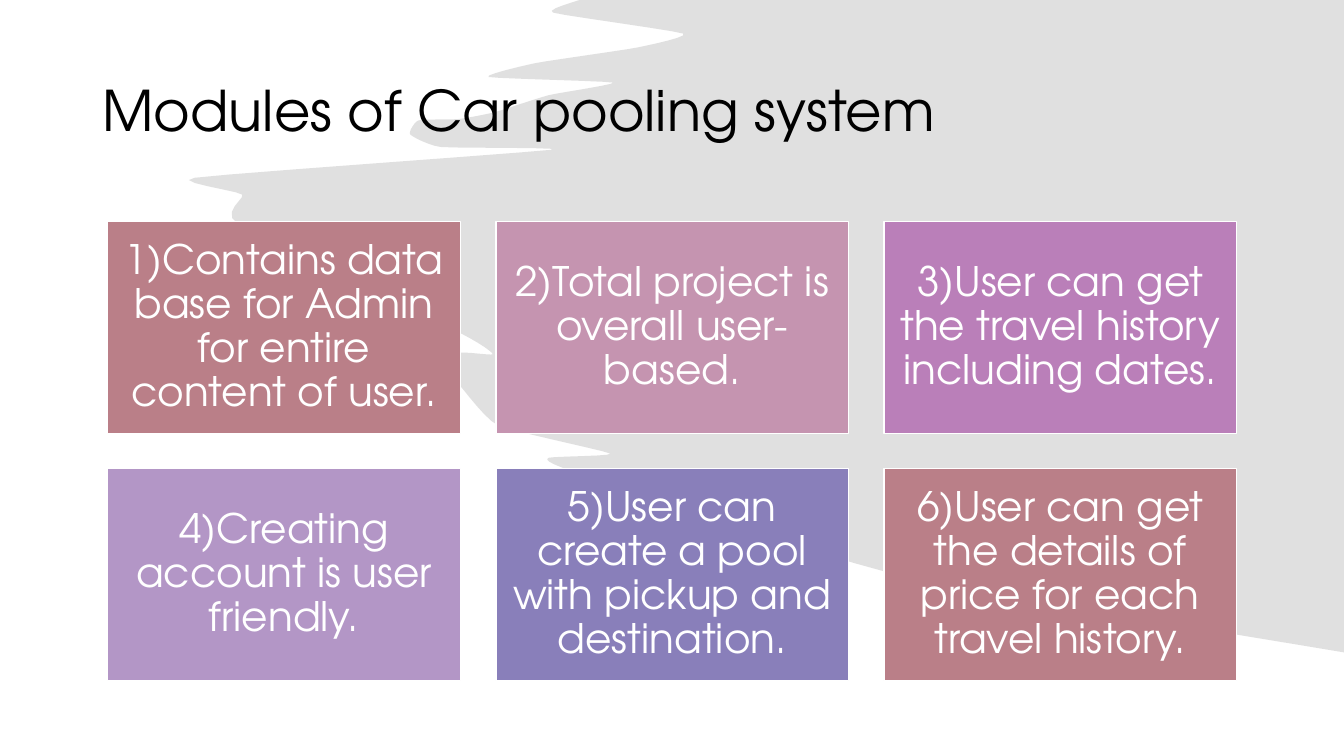
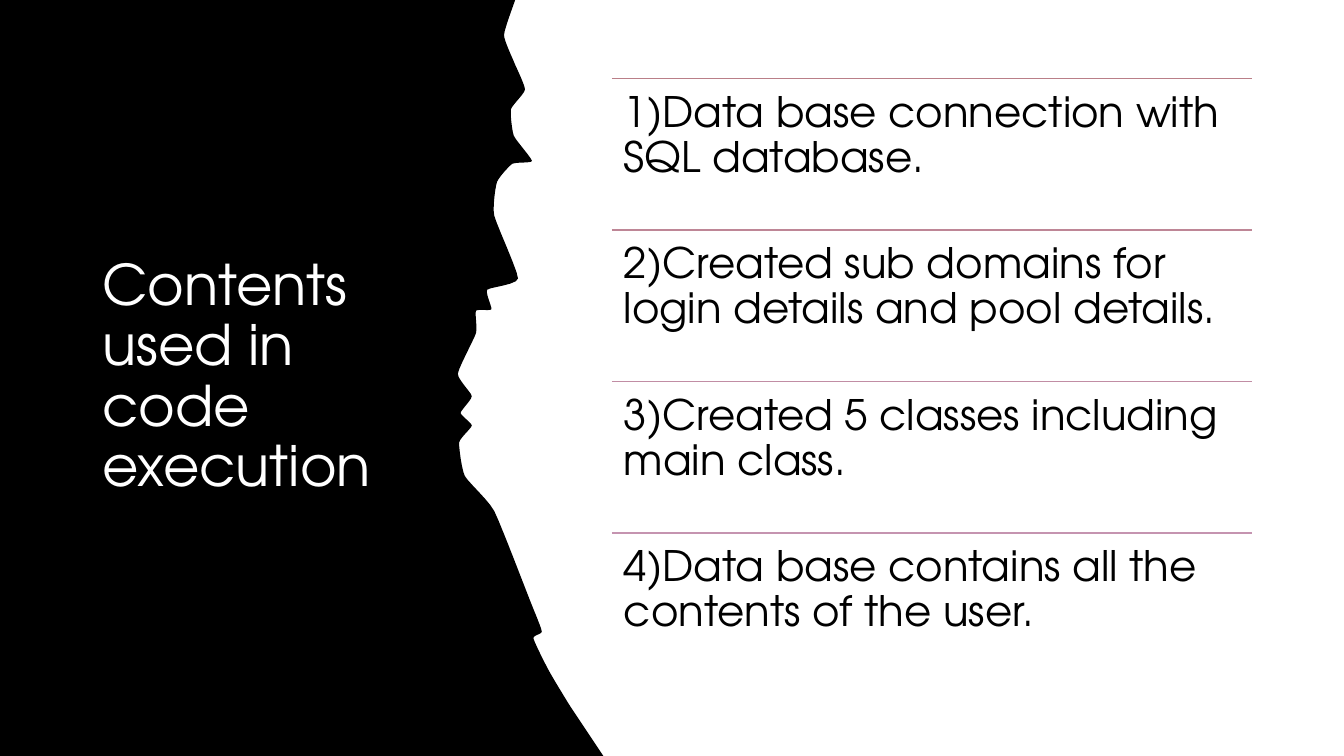
from typing import NamedTuple

from lxml import etree
from pptx import Presentation
from pptx.dml.color import RGBColor
from pptx.enum.shapes import MSO_CONNECTOR, MSO_SHAPE
from pptx.enum.text import MSO_ANCHOR, MSO_AUTO_SIZE, PP_ALIGN
from pptx.oxml.ns import qn
from pptx.util import Pt

RECTANGLE = MSO_SHAPE.RECTANGLE
STRAIGHT = MSO_CONNECTOR.STRAIGHT
TOP, MIDDLE = MSO_ANCHOR.TOP, MSO_ANCHOR.MIDDLE
LEFT, CENTER = PP_ALIGN.LEFT, PP_ALIGN.CENTER
NO_AUTOFIT = MSO_AUTO_SIZE.NONE

# Shared style
FONT = "TeX Gyre Adventor"
BLACK, WHITE, GREY = "000000", "FFFFFF", "D9D9D9"
TITLE_SIZE, CARD_SIZE, ITEM_SIZE = 40, 29, 30
LINE_SPACING = 0.9
INSET = 8.64
WIDTH, HEIGHT = 960, 540
MARGIN = 66
CURVE_STEPS = 6
TENSION = 0.25
TITLE_ONLY = 5


class Box(NamedTuple):
    left: float
    top: float
    width: float
    height: float


class Entry(NamedTuple):
    text: str
    color: str


class Backdrop(NamedTuple):
    edge: list  # ragged edge from the top of the slide downwards
    corners: list  # straight outline that closes the area
    color: str
    opacity: int


MODULES = [
    Entry("1)Contains data base for Admin for entire content of user.", "BA7F88"),
    Entry("2)Total project is overall user-based.", "C594B0"),
    Entry("3)User can get the travel history including dates.", "BA7FB9"),
    Entry("4)Creating account is user friendly.", "B396C6"),
    Entry("5)User can create a pool with pickup and destination.", "897FBA"),
    Entry("6)User can get the details of price for each travel history.", "BA7F88"),
]
CARD = Box(77, 158.4, 252, 151.2)
CARD_COLUMNS, CARD_GAP = 3, 25.2

CONTENTS = [
    Entry("1)Data base connection with SQL database.", "BA7F88"),
    Entry("2)Created sub domains for login details and pool details.", "BE8696"),
    Entry("3)Created 5 classes including main class.", "C18DA4"),
    Entry("4)Data base contains all the contents of the user.", "C594B0"),
]
ITEM = Box(437, 56.2, 457.2, 108.2)

BRUSH = Backdrop(
    [(414, 0), (395, 9), (488, 24), (455, 34), (383, 45), (349, 55), (438, 59),
     (392, 68), (354, 80), (328, 85), (299, 86), (293, 96), (315, 105),
     (394, 107), (139, 127), (173, 139), (170, 160), (329, 238), (352, 253),
     (329, 252), (317, 264), (329, 276), (356, 304), (436, 324), (392, 327),
     (410, 337), (642, 411), (WIDTH, 466)],
    [(WIDTH, 0)], GREY, 80)

TORN_PANEL = Backdrop(
    [(368, 0), (360, 25), (367, 44), (375, 64), (365, 78), (367, 97),
     (380, 115), (366, 117), (355, 130), (353, 154), (370, 199), (348, 207),
     (351, 221), (340, 222), (340, 238), (327, 267), (337, 283), (329, 295),
     (337, 304), (328, 316), (332, 340), (353, 365), (379, 430), (387, 451),
     (381, 456), (392, 479), (407, 504), (431, HEIGHT)],
    [(0, HEIGHT), (0, 0)], BLACK, 100)


def rgb(color: str) -> RGBColor:
    return RGBColor.from_string(color)


def set_text(shape, text: str, size: float, color: str, align, anchor) -> None:
    tf = shape.text_frame
    tf.word_wrap = True
    tf.auto_size = NO_AUTOFIT
    tf.vertical_anchor = anchor
    p = tf.paragraphs[0]
    p.text = text
    p.alignment = align
    p.line_spacing = LINE_SPACING
    p.font.name = FONT
    p.font.size = Pt(size)
    p.font.color.rgb = rgb(color)


def set_insets(shape) -> None:
    tf = shape.text_frame
    tf.margin_left = tf.margin_top = tf.margin_right = tf.margin_bottom = Pt(INSET)


def blend(a: float, b: float, c: float, d: float, t: float) -> float:
    """Cardinal spline between b and c, with neighbours a and d."""
    u = 1 - t
    start, end = b + (c - a) * TENSION / 3, c - (d - b) * TENSION / 3
    return b * u ** 3 + 3 * start * u * u * t + 3 * end * u * t * t + c * t ** 3


def smooth(edge: list) -> list:
    padded = [edge[0], *edge, edge[-1]]
    points = [edge[0]]
    for around in zip(padded, padded[1:], padded[2:], padded[3:]):
        xs, ys = zip(*around)
        for step in range(1, CURVE_STEPS + 1):
            t = step / CURVE_STEPS
            points.append((blend(*xs, t), blend(*ys, t)))
    return points


def add_backdrop(s, backdrop: Backdrop) -> None:
    outline = smooth(backdrop.edge) + backdrop.corners
    points = [(Pt(x), Pt(y)) for x, y in outline]
    builder = s.shapes.build_freeform(*points[0])
    builder.add_line_segments(points[1:], close=True)
    shape = builder.convert_to_shape()
    shape.shadow.inherit = False
    shape.fill.solid()
    shape.fill.fore_color.rgb = rgb(backdrop.color)
    shape.line.fill.background()
    if backdrop.opacity < 100:
        fill = shape._element.spPr.find(qn("a:solidFill"))
        etree.SubElement(fill[0], qn("a:alpha"), val=str(backdrop.opacity * 1000))
    # Behind the title
    s.shapes._spTree.insert(2, shape._element)


def add_slide(prs, title: str, box: Box, color: str, backdrop: Backdrop):
    s = prs.slides.add_slide(prs.slide_layouts[TITLE_ONLY])
    s.background.fill.solid()
    s.background.fill.fore_color.rgb = rgb(WHITE)
    sp = s.shapes.title
    sp.left, sp.top, sp.width, sp.height = map(Pt, box)
    set_text(sp, title, TITLE_SIZE, color, LEFT, MIDDLE)
    add_backdrop(s, backdrop)
    return s


def add_card(s, entry: Entry, box: Box) -> None:
    sp = s.shapes.add_shape(RECTANGLE, *map(Pt, box))
    sp.shadow.inherit = False
    sp.fill.solid()
    sp.fill.fore_color.rgb = rgb(entry.color)
    sp.line.color.rgb = rgb(WHITE)
    sp.line.width = Pt(1)
    set_insets(sp)
    set_text(sp, entry.text, CARD_SIZE, WHITE, CENTER, MIDDLE)


def add_item(s, entry: Entry, box: Box) -> None:
    left, top, right = Pt(box.left), Pt(box.top), Pt(box.left + box.width)
    rule = s.shapes.add_connector(STRAIGHT, left, top, right, top)
    rule.line.color.rgb = rgb(entry.color)
    rule.line.width = Pt(1)
    etree.SubElement(rule._element.spPr, qn("a:effectLst"))
    sp = s.shapes.add_textbox(*map(Pt, box))
    set_insets(sp)
    set_text(sp, entry.text, ITEM_SIZE, BLACK, LEFT, TOP)


def build_modules(prs) -> None:
    box = Box(MARGIN, 28.8, WIDTH - 2 * MARGIN, 104.4)
    s = add_slide(prs, "Modules of Car pooling system", box, BLACK, BRUSH)
    for i, entry in enumerate(MODULES):
        row, column = divmod(i, CARD_COLUMNS)
        add_card(s, entry, CARD._replace(
            left=CARD.left + column * (CARD.width + CARD_GAP),
            top=CARD.top + row * (CARD.height + CARD_GAP)))


def build_contents(prs) -> None:
    box = Box(MARGIN, ITEM.top, 252, HEIGHT - 2 * ITEM.top)
    s = add_slide(prs, "Contents used in code execution", box, WHITE, TORN_PANEL)
    for i, entry in enumerate(CONTENTS):
        add_item(s, entry, ITEM._replace(top=ITEM.top + i * ITEM.height))


def main() -> None:
    prs = Presentation()
    prs.slide_width, prs.slide_height = Pt(WIDTH), Pt(HEIGHT)
    build_modules(prs)
    build_contents(prs)
    prs.save("out.pptx")


if __name__ == "__main__":
    main()
